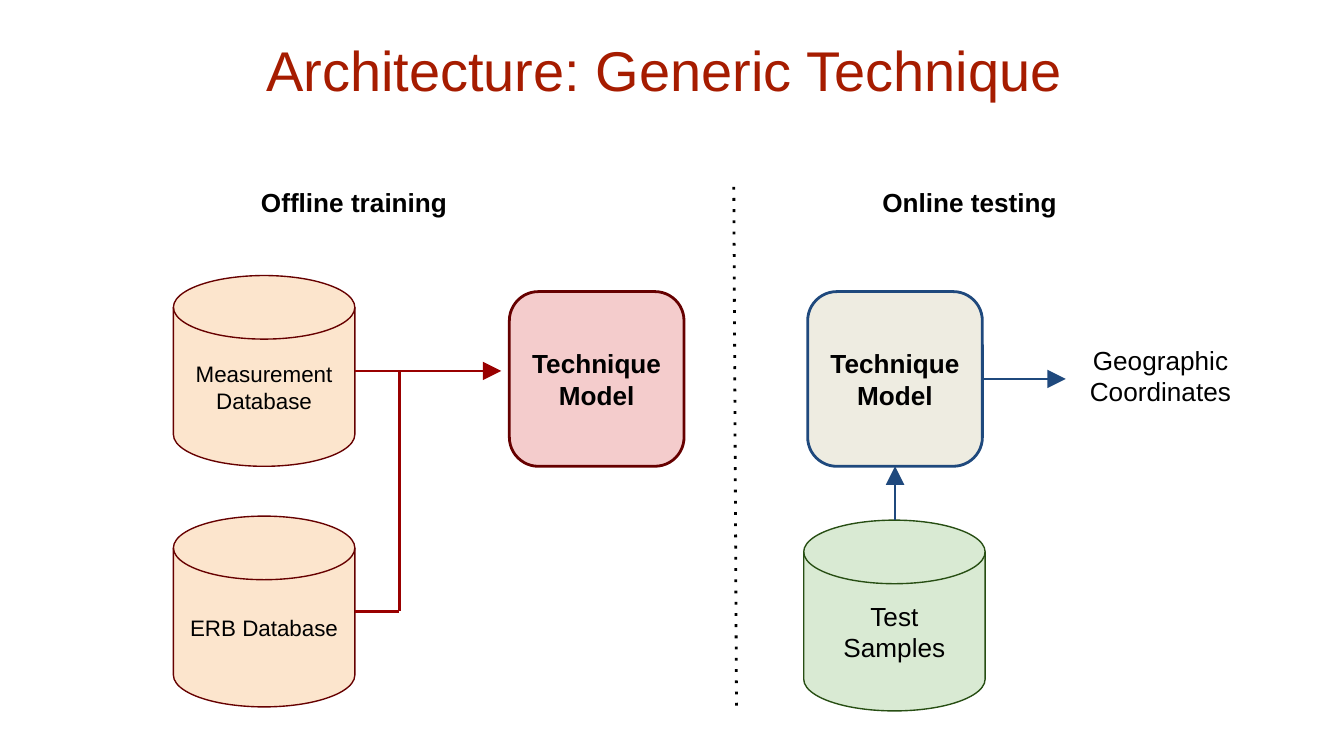
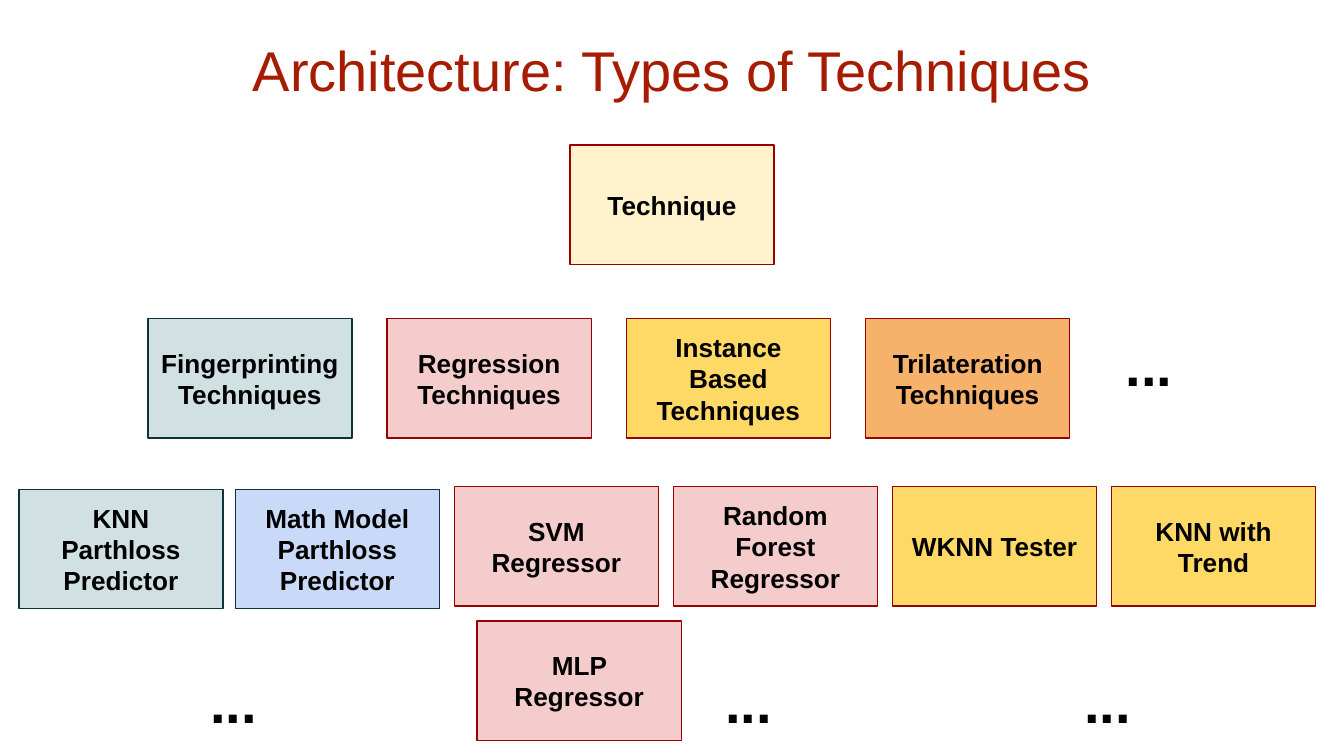
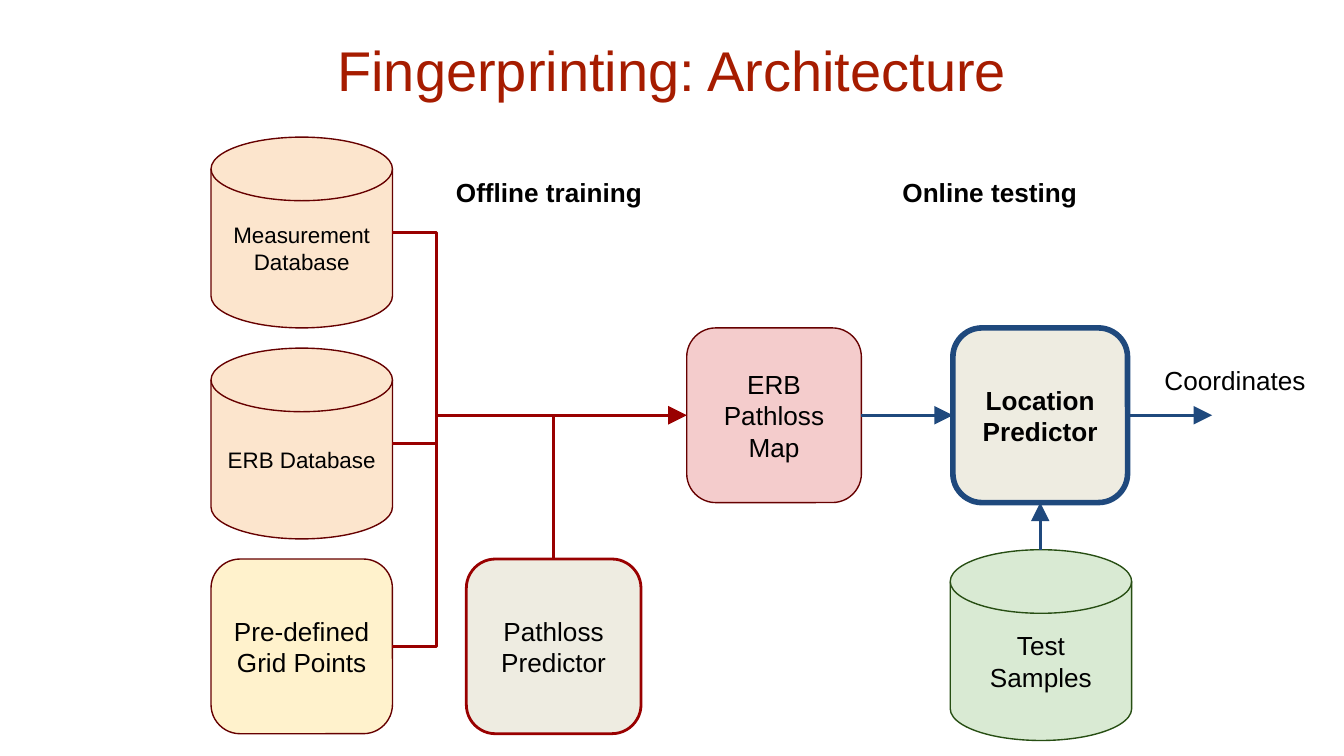
import pptx
import pptx.dml.color
import pptx.enum.shapes
import pptx.enum.text
import pptx.oxml.ns
import pptx.util
from lxml import etree

Inches = pptx.util.Inches
SHAPES = pptx.enum.shapes.MSO_SHAPE
CONNECTORS = pptx.enum.shapes.MSO_CONNECTOR
ANCHORS = pptx.enum.text.MSO_ANCHOR

FONT = "Arial"
BLACK, TITLE_RED = "000000", "A61C00"
MAROON, RED, NAVY = "660000", "990000", "1F497D"
DARK_GREEN, DARK_TEAL = "274E13", "0C343D"
PEACH, PINK, CREAM, GREY = "FCE5CD", "F4CCCC", "FFF2CC", "EEECE1"
GREEN, TEAL, BLUE, YELLOW, ORANGE = "D9EAD3", "D0E0E3", "C9DAF8", "FFD966", "F6B26B"

TOP, LEFT, BOTTOM, RIGHT = range(4)
BLOCK = 1.3
DISK_WIDTH, DISK_HEIGHT = 1.35, 1.42
CARD_WIDTH, CARD_HEIGHT = 1.52, 0.89


def color(hex_code):
    """Turn a hex string into a colour."""
    return pptx.dml.color.RGBColor.from_string(hex_code)


def write(frame, text, size, bold, ink, anchor):
    """Fill a text frame with centred paragraphs."""
    frame.word_wrap = True
    frame.vertical_anchor = anchor
    for side in ("left", "right", "top", "bottom"):
        setattr(frame, f"margin_{side}", Inches(0.1))
    frame.text = text
    for paragraph in frame.paragraphs:
        paragraph.alignment = pptx.enum.text.PP_ALIGN.CENTER
        paragraph.font.name = FONT
        paragraph.font.size = pptx.util.Pt(size)
        paragraph.font.bold = bold
        paragraph.font.color.rgb = color(ink)


def add_label(slide, text, left, top, width, height, size=14, bold=False,
              ink=BLACK, anchor=ANCHORS.TOP):
    """Add free-standing text."""
    label = slide.shapes.add_textbox(*map(Inches, (left, top, width, height)))
    write(label.text_frame, text, size, bold, ink, anchor)


def add_node(slide, kind, text, left, top, width, height, fill, outline,
             weight=0.75, size=14, bold=False):
    """Add a filled, outlined shape with centred text."""
    node = slide.shapes.add_shape(kind, *map(Inches, (left, top, width, height)))
    node.shadow.inherit = False
    node.fill.solid()
    node.fill.fore_color.rgb = color(fill)
    node.line.color.rgb = color(outline)
    node.line.width = pptx.util.Pt(weight)
    write(node.text_frame, text, size, bold, BLACK, ANCHORS.MIDDLE)
    return node


def add_block(slide, text, left, top, fill, outline, width=BLOCK, **style):
    """Add a rounded processing block."""
    return add_node(slide, SHAPES.ROUNDED_RECTANGLE, text, left, top, width, BLOCK,
                    fill, outline, **style)


def add_disk(slide, text, left, top, fill=PEACH, outline=MAROON, size=12):
    """Add a database disk."""
    add_node(slide, SHAPES.FLOWCHART_MAGNETIC_DISK, text, left, top,
             DISK_WIDTH, DISK_HEIGHT, fill, outline, size=size)


def add_samples(slide, left, top):
    """Add the disk of test samples."""
    add_disk(slide, "Test Samples", left, top, GREEN, DARK_GREEN, 14)


def add_card(slide, text, left, top, fill, outline=RED):
    """Add one technique to the hierarchy."""
    add_node(slide, SHAPES.RECTANGLE, text, left, top, CARD_WIDTH, CARD_HEIGHT,
             fill, outline, bold=True)


def add_line(slide, start, end, ink, arrow=False, dash=None, elbow=False,
             begin=None, finish=None):
    """Add a line or a one-corner elbow, optionally joined to shapes."""
    kind = CONNECTORS.ELBOW if elbow else CONNECTORS.STRAIGHT
    line = slide.shapes.add_connector(kind, *map(Inches, start + end))
    if begin:
        line.begin_connect(*begin)
    if finish:
        line.end_connect(*finish)
    line.line.color.rgb = color(ink)
    line.line.width = pptx.util.Pt(1.5)
    qn = pptx.oxml.ns.qn
    stroke = line.get_or_add_ln()
    if dash:
        etree.SubElement(stroke, qn("a:prstDash"), val=dash)
    if arrow:
        etree.SubElement(stroke, qn("a:tailEnd"), type="triangle", w="lg", len="lg")
    if elbow:
        adjustments = line.element.spPr.find(qn("a:prstGeom")).get_or_add_avLst()
        etree.SubElement(adjustments, qn("a:gd"), name="adj1", fmla="val 100000")
    etree.SubElement(line.element.spPr, qn("a:effectLst"))


def add_phases(slide, top, offline_left, offline_width, online_left):
    """Add the headings of the two phases."""
    add_label(slide, "Offline training", offline_left, top, offline_width, 0.43, bold=True)
    add_label(slide, "Online testing", online_left, top, 1.57, 0.43, bold=True)


def add_titled_slide(deck, title):
    """Add a blank slide with the shared title."""
    slide = deck.slides.add_slide(deck.slide_layouts[6])
    add_label(slide, title, 0.75, 0.16, 8.5, 0.71, 30, ink=TITLE_RED,
              anchor=ANCHORS.MIDDLE)
    return slide


def build_generic(deck):
    """Build the generic technique diagram."""
    slide = add_titled_slide(deck, "Architecture: Generic Technique ")
    add_phases(slide, 1.29, 1.78, 1.71, 6.43)
    add_disk(slide, "Measurement Database", 1.29, 2.05)
    add_disk(slide, "ERB Database", 1.29, 3.84)
    add_samples(slide, 5.98, 3.87)
    add_block(slide, "Technique Model", 3.79, 2.17, PINK, MAROON, weight=1.5, bold=True)
    tested = add_block(slide, "Technique Model", 6.01, 2.17, GREY, NAVY,
                       weight=1.5, bold=True)
    add_line(slide, (2.64, 2.76), (2.97, 4.55), RED, elbow=True)
    add_line(slide, (2.64, 4.55), (2.97, 4.55), RED)
    add_line(slide, (2.97, 2.76), (3.73, 2.76), RED, arrow=True)
    add_line(slide, (6.66, 3.87), (6.66, 3.47), NAVY, arrow=True, finish=(tested, BOTTOM))
    add_line(slide, (7.31, 2.82), (7.93, 2.82), NAVY, arrow=True, begin=(tested, RIGHT))
    add_label(slide, "Geographic Coordinates", 7.96, 2.46, 1.35, 0.71)
    add_line(slide, (5.46, 1.39), (5.48, 5.29), BLACK, dash="dot")


def build_types(deck):
    """Build the hierarchy of techniques."""
    slide = add_titled_slide(deck, "Architecture: Types of Techniques")
    add_card(slide, "Technique", 4.24, 1.08, CREAM)
    families = [
        ("Fingerprinting Techniques", TEAL, DARK_TEAL),
        ("Regression Techniques", PINK, RED),
        ("Instance Based Techniques", YELLOW, RED),
        ("Trilateration Techniques", ORANGE, RED),
    ]
    for column, (name, fill, outline) in enumerate(families):
        add_card(slide, name, 1.1 + 1.78 * column, 2.37, fill, outline)
    predictors = [("KNN Parthloss Predictor", TEAL), ("Math Model Parthloss Predictor", BLUE)]
    for column, (name, fill) in enumerate(predictors):
        add_card(slide, name, 0.14 + 1.61 * column, 3.64, fill, DARK_TEAL)
    methods = [
        ("SVM Regressor", PINK),
        ("Random Forest Regressor", PINK),
        ("WKNN Tester", YELLOW),
        ("KNN with Trend", YELLOW),
    ]
    for column, (name, fill) in enumerate(methods):
        add_card(slide, name, 3.38 + 1.63 * column, 3.62, fill)
    add_card(slide, "MLP Regressor", 3.55, 4.62, PINK)
    for left, top in [(8.17, 2.36), (1.36, 4.87), (5.19, 4.87), (7.86, 4.87)]:
        add_label(slide, "...", left, top, 0.76, 0.62, 30, bold=True)


def build_fingerprinting(deck):
    """Build the fingerprinting diagram."""
    slide = add_titled_slide(deck, "Fingerprinting: Architecture")
    add_phases(slide, 1.21, 3.19, 1.79, 6.58)
    add_disk(slide, "Measurement Database", 1.57, 1.02)
    add_disk(slide, "ERB Database", 1.57, 2.59)
    add_samples(slide, 7.07, 4.09)
    add_block(slide, "Pre-defined\nGrid Points", 1.57, 4.16, CREAM, MAROON, DISK_WIDTH)
    pathloss = add_block(slide, "Pathloss\nPredictor", 3.47, 4.16, GREY, RED, weight=1.5)
    erb_map = add_block(slide, "ERB Pathloss Map", 5.11, 2.44, PINK, MAROON)
    location = add_block(slide, "Location\nPredictor", 7.09, 2.44, GREY, NAVY,
                         weight=3, bold=True)
    for source_y in (1.73, 4.81):
        add_line(slide, (2.92, source_y), (3.25, 3.3), RED, elbow=True)
    add_line(slide, (2.92, 3.3), (3.25, 3.3), RED)
    add_line(slide, (3.25, 3.09), (5.11, 3.09), RED, arrow=True, finish=(erb_map, LEFT))
    add_line(slide, (4.12, 4.16), (4.12, 3.09), RED, begin=(pathloss, TOP))
    add_line(slide, (6.41, 3.09), (7.09, 3.09), NAVY, arrow=True,
             begin=(erb_map, RIGHT), finish=(location, LEFT))
    add_line(slide, (7.74, 4.09), (7.74, 3.74), NAVY, arrow=True, finish=(location, BOTTOM))
    add_line(slide, (8.39, 3.09), (9.02, 3.09), NAVY, arrow=True, begin=(location, RIGHT))
    add_label(slide, "Coordinates", 8.54, 2.61, 1.3, 0.36)


def main():
    """Build and save the deck."""
    deck = pptx.Presentation()
    deck.slide_width = Inches(10)
    deck.slide_height = Inches(10 * 9 / 16)
    build_generic(deck)
    build_types(deck)
    build_fingerprinting(deck)
    deck.save("out.pptx")


if __name__ == "__main__":
    main()
